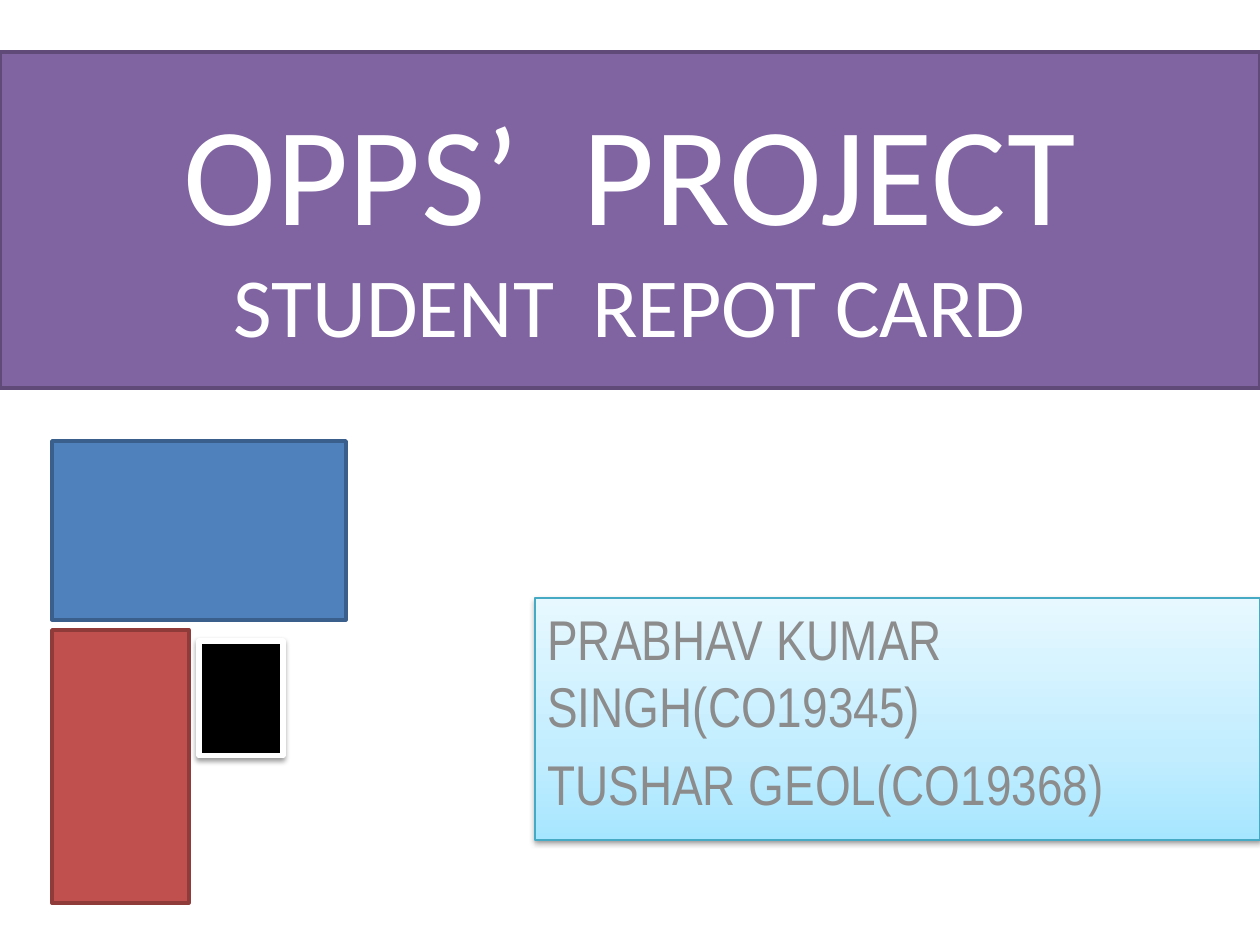
from lxml import etree
from pptx import Presentation
from pptx.dml.color import RGBColor as Rgb
from pptx.enum.shapes import MSO_SHAPE as Shape
from pptx.enum.text import MSO_ANCHOR as Anchor, PP_ALIGN as Align
from pptx.oxml import parse_xml
from pptx.util import Pt

PX = 914400 // 126
NS = 'xmlns:a="http://schemas.openxmlformats.org/drawingml/2006/main"'

WHITE = Rgb(0xFF, 0xFF, 0xFF)
BLACK = Rgb(0, 0, 0)
GREY = Rgb(0x8C, 0x8C, 0x8C)
PURPLE, PLUM = Rgb(0x80, 0x64, 0xA2), Rgb(0x5F, 0x4A, 0x78)
BLUE, NAVY = Rgb(0x4F, 0x81, 0xBD), Rgb(0x3A, 0x5F, 0x8C)
RED, MAROON = Rgb(0xC0, 0x50, 0x4D), Rgb(0x8E, 0x3B, 0x39)
TEAL = Rgb(0x46, 0xAA, 0xC5)
SKY = [(0, Rgb(0xA7, 0xE6, 0xFF)), (35, Rgb(0xC1, 0xED, 0xFF)),
       (100, Rgb(0xE7, 0xF8, 0xFF))]


def add_rect(slide, box, fill, line, width):
    rect = slide.shapes.add_shape(Shape.RECTANGLE, *[n * PX for n in box])
    rect.shadow.inherit = False
    rect.fill.solid()
    rect.fill.fore_color.rgb = fill
    rect.line.color.rgb = line
    rect.line.width = Pt(width)
    return rect


def add_shadow(shape):
    props = shape._element.spPr
    old = props.find('{*}effectLst')
    props.replace(old, parse_xml(
        f'<a:effectLst {NS}><a:outerShdw blurRad="{Pt(3.1)}" dist="{Pt(1.6)}" '
        'dir="5400000" rotWithShape="0"><a:srgbClr val="000000">'
        '<a:alpha val="38000"/></a:srgbClr></a:outerShdw></a:effectLst>'))


def add_fade(shape, stops):
    props = shape._element.spPr
    marks = ''.join(f'<a:gs pos="{pos * 1000}"><a:srgbClr val="{tone}"/></a:gs>'
                    for pos, tone in stops)
    props.replace(props.find('{*}solidFill'), parse_xml(
        f'<a:gradFill {NS} rotWithShape="1"><a:gsLst>{marks}</a:gsLst>'
        '<a:lin ang="16200000" scaled="0"/></a:gradFill>'))


# Title band
def add_banner(slide, box):
    band = add_rect(slide, box, PURPLE, PLUM, 2)
    frame = band.text_frame
    frame.word_wrap = True
    frame.vertical_anchor = Anchor.MIDDLE
    para = frame.paragraphs[0]
    para.alignment = Align.CENTER
    para.font.name = 'Calibri'
    para.font.color.rgb = WHITE
    head = para.add_run()
    head.text = 'OPPS’  PROJECT'
    head.font.size = Pt(80)
    para.add_line_break()
    sub = para.add_run()
    sub.text = 'STUDENT  REPOT CARD'
    sub.font.size = Pt(48)


# Panel of student names
def add_names(slide, box, names):
    panel = add_rect(slide, box, WHITE, TEAL, 0.75)
    add_fade(panel, SKY)
    add_shadow(panel)
    frame = panel.text_frame
    frame.word_wrap = True
    frame.vertical_anchor = Anchor.TOP
    for i, name in enumerate(names):
        para = frame.add_paragraph() if i else frame.paragraphs[0]
        para.text = name
        para.alignment = Align.LEFT
        para.space_before = Pt(6.4)
        para.font.name = 'Arial Narrow'
        para.font.size = Pt(32)
        para.font.color.rgb = GREY


# Coloured blocks
def add_blocks(slide, box):
    left, top, width, height = box
    add_rect(slide, (left, top, width, 179), BLUE, NAVY, 2)
    low = top + 189
    add_rect(slide, (left, low, 137, height - 189), RED, MAROON, 2)
    tile = add_rect(slide, (left + 147, low + 11, 84, 115), BLACK, WHITE, 3)
    add_shadow(tile)


deck = Presentation()
deck.slide_width, deck.slide_height = 1260 * PX, 945 * PX
page = deck.slides.add_slide(deck.slide_layouts[6])
add_banner(page, (0, 52, 1260, 336))
add_names(page, (535, 598, 725, 242),
          ['PRABHAV KUMAR SINGH(CO19345)', 'TUSHAR GEOL(CO19368)'])
add_blocks(page, (52, 441, 294, 462))
deck.save("out.pptx")
